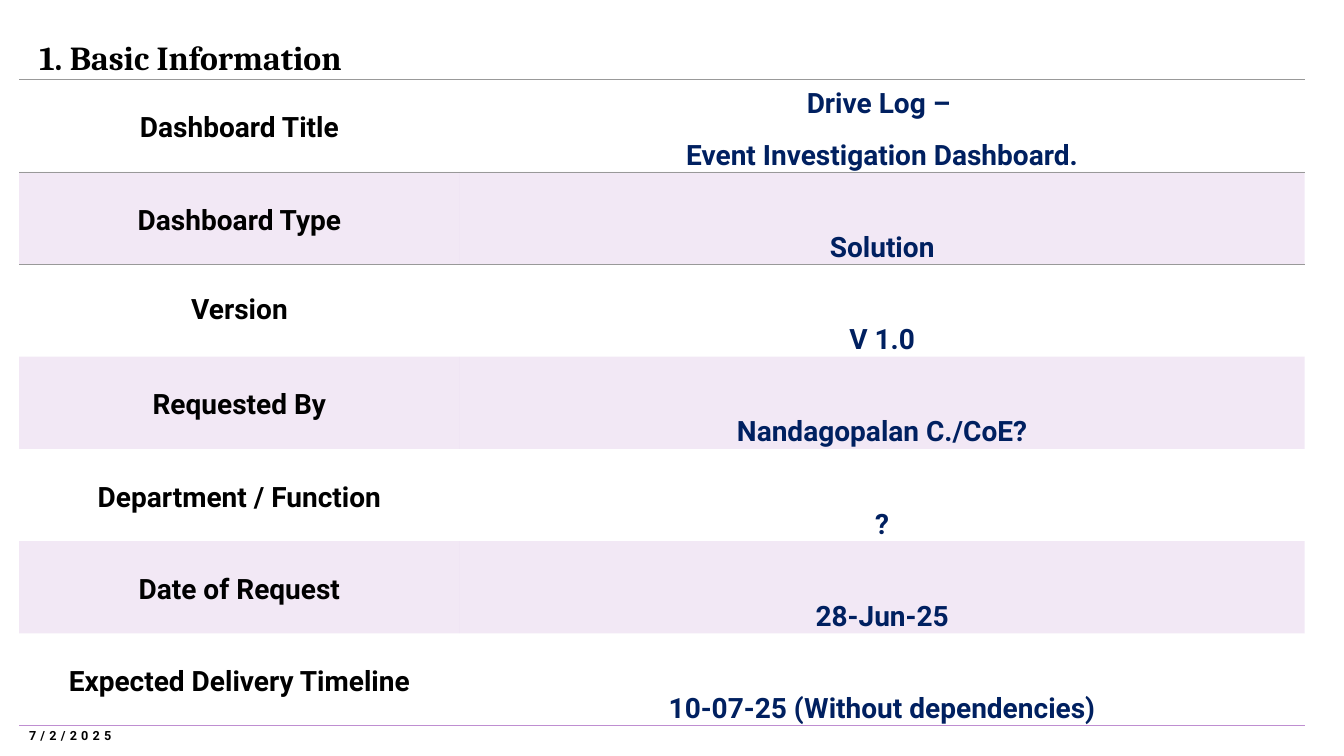
from lxml import etree
from pptx import Presentation
from pptx.dml.color import RGBColor
from pptx.enum.text import MSO_ANCHOR, PP_ALIGN
from pptx.oxml.ns import qn
from pptx.util import Inches, Pt

MIDDLE, BOTTOM = MSO_ANCHOR.MIDDLE, MSO_ANCHOR.BOTTOM
CENTER, LEFT = PP_ALIGN.CENTER, PP_ALIGN.LEFT
NO_GRID_STYLE = "{2D5ABB26-0587-4C30-8999-92F81FD0307C}"
BLACK, NAVY, LILAC, GRAY = "000000", "002060", "BF8ED1", "999999"
COLUMNS = (4.37, 8.38)
ROW_HEIGHT = 0.916
ROWS = [
    ("Dashboard Title", "Drive Log – \nEvent Investigation Dashboard."),
    ("Dashboard Type", "Solution"),
    ("Version", "V 1.0"),
    ("Requested By", "Nandagopalan C./CoE?"),
    ("Department / Function", "?"),
    ("Date of Request", "28-Jun-25"),
    ("Expected Delivery Timeline", "10-07-25 (Without dependencies)"),
]
BORDERS = {
    0: [("a:lnT", GRAY, 0.5), ("a:lnB", GRAY, 0.5)],
    1: [("a:lnT", GRAY, 0.5)],
    len(ROWS) - 1: [("a:lnB", LILAC, 1)],
}


def style(p, name, size, color, align):
    p.alignment = align
    p.font.name = name
    p.font.size = Pt(size)
    p.font.bold = True
    p.font.color.rgb = RGBColor.from_string(color)


prs = Presentation()
prs.slide_width, prs.slide_height = Inches(13.33), Inches(7.5)
s = prs.slides.add_slide(prs.slide_layouts[5])

frame = s.shapes.add_table(len(ROWS), len(COLUMNS), Inches(0.19), Inches(0.79),
                           Inches(sum(COLUMNS)), Inches(ROW_HEIGHT * len(ROWS)))
table = frame.table
table.first_row = table.horz_banding = False
table._tbl.tblPr.find(qn("a:tableStyleId")).text = NO_GRID_STYLE
for column, width in zip(table.columns, COLUMNS):
    column.width = Inches(width)

for i, texts in enumerate(ROWS):
    table.rows[i].height = Inches(ROW_HEIGHT)
    for j, text in enumerate(texts):
        cell = table.cell(i, j)
        cell.margin_left = cell.margin_right = Inches(0.07)
        cell.margin_top = cell.margin_bottom = 0
        cell.vertical_anchor = (MIDDLE, BOTTOM)[j]
        cell.text_frame.text = text
        for p in cell.text_frame.paragraphs:
            style(p, "Roboto", 20, (BLACK, NAVY)[j], CENTER)
            if text != "Version":
                p.line_spacing = 1.15
                p.space_after = Pt(10)
        tcPr = cell._tc.get_or_add_tcPr()
        if i % 2:
            cell.fill.solid()
            cell.fill.fore_color.rgb = RGBColor.from_string(LILAC)
            clr = tcPr.find(qn("a:solidFill"))[0]
            etree.SubElement(clr, qn("a:alpha"), val="20000")
        else:
            cell.fill.background()
        for k, (side, color, width) in enumerate(BORDERS.get(i, [])):
            ln = etree.Element(qn(side), w=str(Pt(width)))
            fill = etree.SubElement(ln, qn("a:solidFill"))
            etree.SubElement(fill, qn("a:srgbClr"), val=color)
            tcPr.insert(k, ln)

title = s.shapes.title
title.left, title.top = Inches(0.29), Inches(0.31)
title.width, title.height = Inches(12.85), Inches(0.52)
title.text_frame.text = "1. Basic Information"
title.text_frame.vertical_anchor = MIDDLE
style(title.text_frame.paragraphs[0], "Cambria", 24, BLACK, LEFT)

date = s.shapes.add_textbox(Inches(0.19), Inches(7.1), Inches(3), Inches(0.4))
tf = date.text_frame
tf.word_wrap = True
tf.vertical_anchor = MIDDLE
p = tf.paragraphs[0]
r = p.add_run()
r.text = "7/2/2025"
style(p, "Roboto", 9, BLACK, LEFT)
r.font._element.set("spc", "300")

prs.save("out.pptx")
